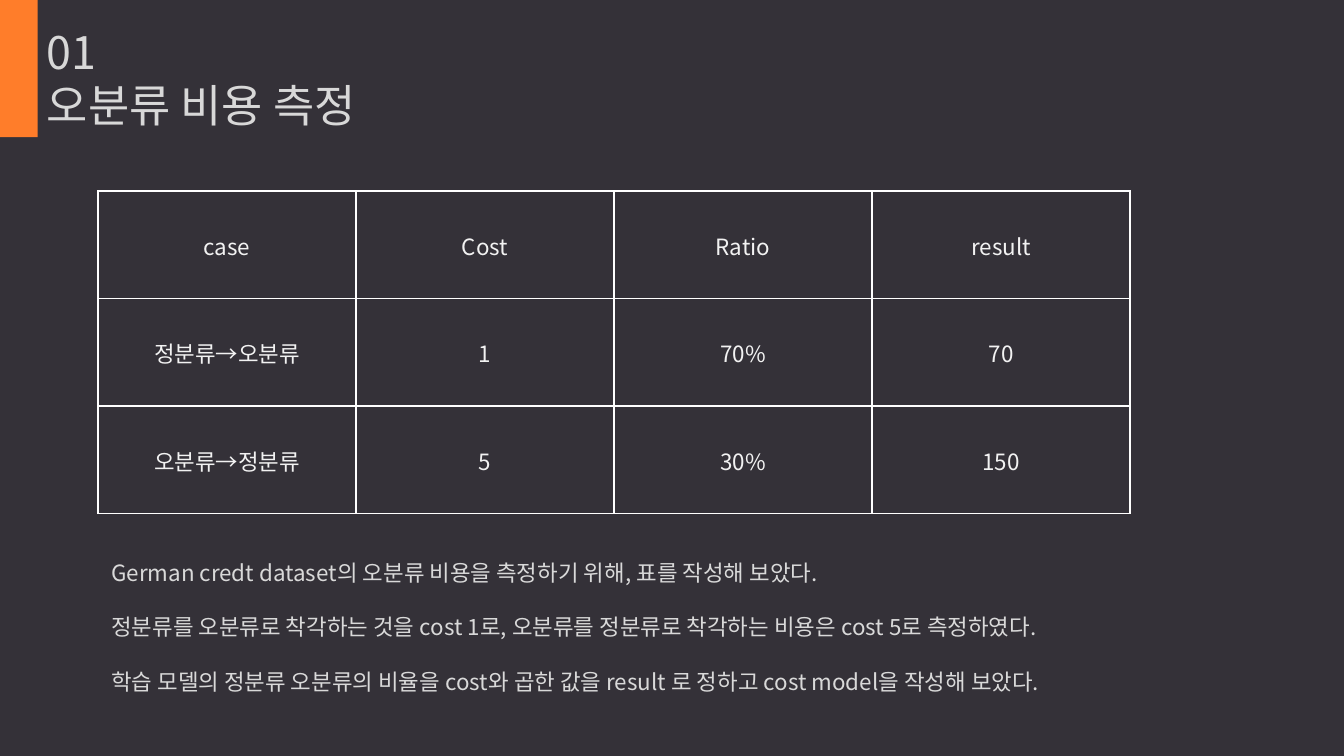
from lxml import etree
from pptx import Presentation
from pptx.dml.color import RGBColor
from pptx.enum.shapes import MSO_SHAPE
from pptx.enum.text import MSO_ANCHOR, PP_ALIGN
from pptx.oxml.ns import qn
from pptx.util import Inches, Pt

RECTANGLE = MSO_SHAPE.RECTANGLE
MIDDLE = MSO_ANCHOR.MIDDLE
CENTER = PP_ALIGN.CENTER
FONT = "Noto Sans CJK KR"

# Content
HEADINGS = [("01", 0.14, 1.36), ("오분류 비용 측정", 0.54, 6.16)]
COST_ROWS = [
    ("case", "Cost", "Ratio", "result"),
    ("정분류→오분류", "1", "70%", "70"),
    ("오분류→정분류", "5", "30%", "150"),
]
NOTES = [
    "German credt dataset의 오분류 비용을 측정하기 위해, 표를 작성해 보았다.",
    "정분류를 오분류로 착각하는 것을 cost 1로, 오분류를 정분류로 착각하는 비용은 cost 5로 측정하였다.",
    "학습 모델의 정분류 오분류의 비율을 cost와 곱한 값을 result 로 정하고 cost model을 작성해 보았다.",
]
LEFT, WIDTH = 0.73, 7.68
ROW_HEIGHT = 0.8


def color(value):
    return RGBColor.from_string(value)


def style_paragraph(para, size, hex_color):
    for span in para.runs:
        span.font.size = Pt(size)
        span.font.name = FONT
        span.font.color.rgb = color(hex_color)
        east_asian = etree.SubElement(span.font._element, qn("a:ea"))
        east_asian.set("typeface", FONT)


def set_margins(target, left, top, right, bottom):
    target.margin_left, target.margin_top = Inches(left), Inches(top)
    target.margin_right, target.margin_bottom = Inches(right), Inches(bottom)


def add_text(page, lines, position, size, hex_color, margins, gap=0):
    box = page.shapes.add_textbox(*map(Inches, position))
    frame = box.text_frame
    frame.word_wrap = True
    frame.vertical_anchor = MIDDLE
    set_margins(frame, *margins)
    frame.text = "\n".join(lines)
    for index, para in enumerate(frame.paragraphs):
        para.space_before = Pt(gap if index else 0)
        style_paragraph(para, size, hex_color)


def add_borders(cell, hex_color, width):
    properties = cell._tc.get_or_add_tcPr()
    for index, side in enumerate(("lnL", "lnR", "lnT", "lnB")):
        line = etree.Element(qn("a:" + side), w=str(Pt(width)))
        fill = etree.SubElement(line, qn("a:solidFill"))
        etree.SubElement(fill, qn("a:srgbClr"), val=hex_color)
        properties.insert(index, line)


# Widescreen page, 16 to 9
deck = Presentation()
deck.slide_width = Inches(10)
deck.slide_height = Inches(10 * 9 / 16)
page = deck.slides.add_slide(deck.slide_layouts[6])
page.background.fill.solid()
page.background.fill.fore_color.rgb = color("343138")

# Headings and notes
for text, top, width in HEADINGS:
    add_text(page, [text], (0.28, top, width, 0.48), 24, "D8D8D8",
             (0.07, 0.04, 0.07, 0.04))
add_text(page, NOTES, (LEFT, 4.08, WIDTH, 1.17), 12, "D9D9D9",
         (0.1, 0.1, 0.1, 0.1), gap=14.7)

# Cost table
row_count, column_count = len(COST_ROWS), len(COST_ROWS[0])
table = page.shapes.add_table(
    row_count, column_count, Inches(LEFT), Inches(1.42),
    Inches(WIDTH), Inches(ROW_HEIGHT * row_count)).table
table.first_row = table.horz_banding = False
for row_index, values in enumerate(COST_ROWS):
    for column_index, value in enumerate(values):
        cell = table.cell(row_index, column_index)
        cell.fill.background()
        cell.vertical_anchor = MIDDLE
        set_margins(cell, 0.01, 0.01, 0.01, 0)
        cell.text_frame.text = value
        para = cell.text_frame.paragraphs[0]
        para.alignment = CENTER
        style_paragraph(para, 12, "F2F2F2")
        add_borders(cell, "FFFFFF", 1)

# Accent bar
bar = page.shapes.add_shape(RECTANGLE, 0, 0, Inches(0.28), Inches(1.02))
bar.shadow.inherit = False
bar.fill.solid()
bar.fill.fore_color.rgb = color("FF7D2A")
bar.line.fill.background()

deck.save("out.pptx")
